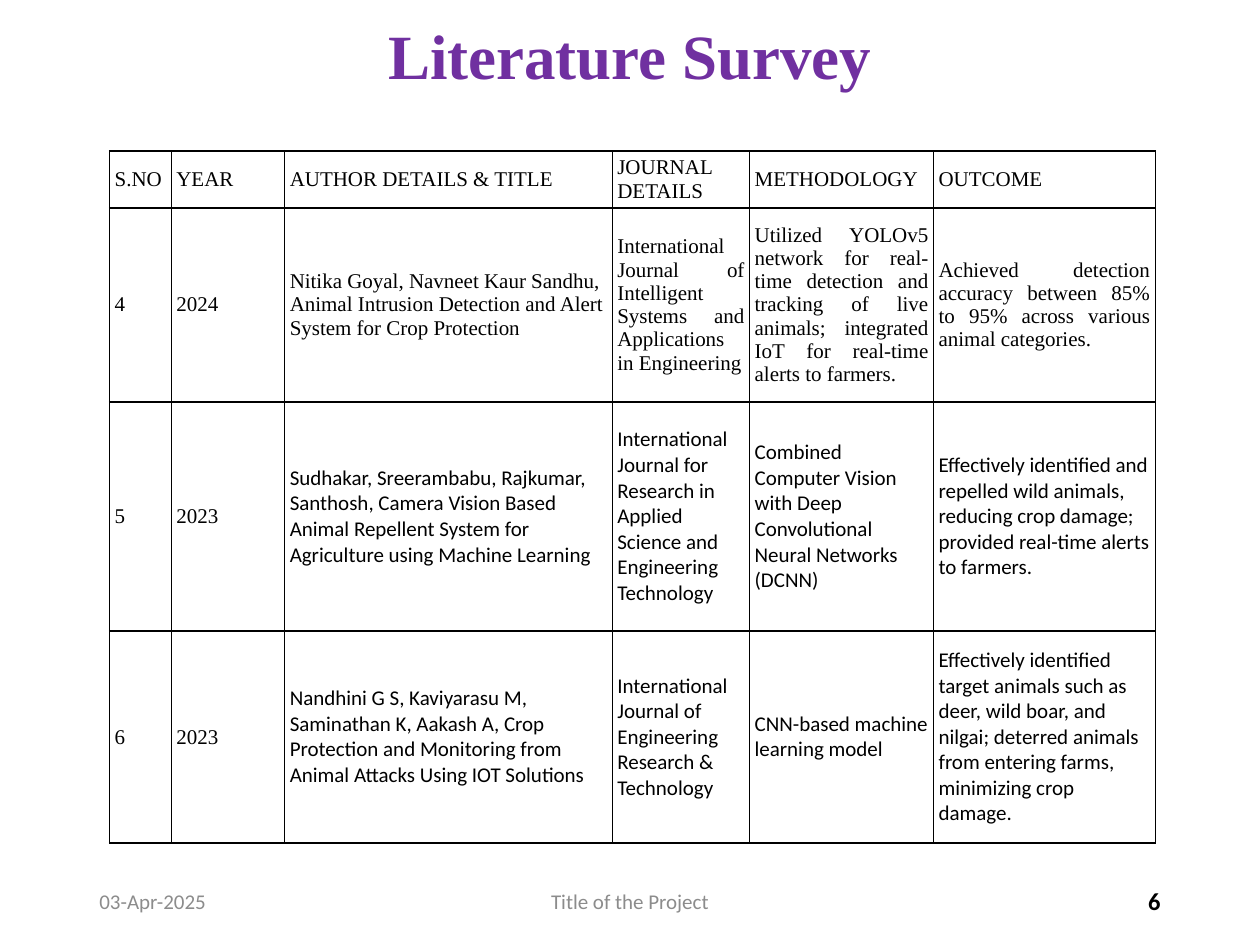
from lxml.etree import SubElement
from pptx import Presentation
from pptx.dml.color import RGBColor
from pptx.enum.text import MSO_ANCHOR as Anchor, PP_ALIGN as Align
from pptx.oxml.ns import qn
from pptx.util import Inches, Pt

COLORS = {"title": "7030A0", "ink": "000000", "muted": "8C8C8C"}
SERIF, SANS = "Times New Roman", "Calibri"
GRID_COLS, GRID_ROWS = 100, 75
MARGIN, CONTENT_WIDTH = 6.9, 86.2

COLUMN_WIDTHS = [4.9, 9, 26, 10.9, 14.6, 17.6]
ROW_HEIGHTS = [4.5, 15.4, 18.2, 16.8]
HEADINGS = ["S.NO", "YEAR", "AUTHOR DETAILS & TITLE", "JOURNAL DETAILS",
            "METHODOLOGY", "OUTCOME"]
STUDIES = [
    ["4", "2024",
     "Nitika Goyal, Navneet Kaur Sandhu, Animal Intrusion Detection and Alert "
     "System for Crop Protection",
     "International Journal of Intelligent Systems and Applications in Engineering",
     "Utilized YOLOv5 network for real-time detection and tracking of live animals; "
     "integrated IoT for real-time alerts to farmers.",
     "Achieved detection accuracy between 85% to 95% across various animal categories."],
    ["5", "2023",
     "Sudhakar, Sreerambabu, Rajkumar, Santhosh, Camera Vision Based Animal "
     "Repellent System for Agriculture using Machine Learning",
     "International Journal for Research in Applied Science and Engineering Technology",
     "Combined Computer Vision with Deep Convolutional Neural Networks (DCNN)",
     "Effectively identified and repelled wild animals, reducing crop damage; "
     "provided real-time alerts to farmers."],
    ["6", "2023",
     "Nandhini G S, Kaviyarasu M, Saminathan K, Aakash A, Crop Protection and "
     "Monitoring from Animal Attacks Using IOT Solutions",
     "International Journal of Engineering Research & Technology",
     "CNN-based machine learning model",
     "Effectively identified target animals such as deer, wild boar, and nilgai; "
     "deterred animals from entering farms, minimizing crop damage."],
]


class SurveySlide:
    """Places styled elements on a slide by grid columns and rows."""

    def __init__(self, deck):
        self.col = deck.slide_width / GRID_COLS
        self.row = deck.slide_height / GRID_ROWS
        self.slide = deck.slides.add_slide(deck.slide_layouts[5])

    def box(self, left, top, width, height):
        return (round(left * self.col), round(top * self.row),
                round(width * self.col), round(height * self.row))

    def add_text(self, frame, text, font=SANS, size=12, color="ink", bold=False,
                 align=Align.LEFT):
        frame.word_wrap = True
        paragraph = frame.paragraphs[0]
        paragraph.alignment = align
        run = paragraph.add_run()
        run.text = text
        run.font.name, run.font.size, run.font.bold = font, Pt(size), bold
        run.font.color.rgb = RGBColor.from_string(COLORS[color])
        return paragraph

    def title(self, text, *place):
        heading = self.slide.shapes.title
        heading.left, heading.top, heading.width, heading.height = self.box(*place)
        heading.text_frame.vertical_anchor = Anchor.MIDDLE
        paragraph = self.add_text(heading.text_frame, text, SERIF, 36, "title", True,
                                  Align.CENTER)
        paragraph.line_spacing = 0.9

    def footer(self, text, left, width, **style):
        frame = self.slide.shapes.add_textbox(*self.box(left, 69.5, width, 4)).text_frame
        frame.vertical_anchor = Anchor.MIDDLE
        self.add_text(frame, text, **style)

    def border(self, cell):
        """Draw a thin line on each side of the cell, ahead of its fill."""
        properties = cell._tc.get_or_add_tcPr()
        for position, side in enumerate(("lnL", "lnR", "lnT", "lnB")):
            line = SubElement(properties, qn(f"a:{side}"), w=str(Pt(1)))
            properties.insert(position, line)
            fill = SubElement(line, qn("a:solidFill"))
            SubElement(fill, qn("a:srgbClr"), val=COLORS["ink"])

    def table(self, rows, left, top):
        place = self.box(left, top, sum(COLUMN_WIDTHS), sum(ROW_HEIGHTS))
        table = self.slide.shapes.add_table(len(rows), len(HEADINGS), *place).table
        table.first_row = table.horz_banding = False
        for column, width in zip(table.columns, COLUMN_WIDTHS):
            column.width = round(width * self.col)
        for row, height in zip(table.rows, ROW_HEIGHTS):
            row.height = round(height * self.row)
        for r, texts in enumerate(rows):
            for c, text in enumerate(texts):
                cell = table.cell(r, c)
                cell.fill.background()
                self.border(cell)
                cell.vertical_anchor = Anchor.MIDDLE
                cell.margin_left = cell.margin_right = Inches(0.04)
                cell.margin_top = cell.margin_bottom = Inches(0.02)
                self.add_text(cell.text_frame, text,
                              font=SANS if r > 1 and c > 1 else SERIF,
                              align=Align.JUSTIFY if r == 1 and c > 2 else Align.LEFT)


def main():
    deck = Presentation()
    deck.slide_width, deck.slide_height = Inches(10), Inches(7.5)
    survey = SurveySlide(deck)
    survey.title("Literature Survey", MARGIN, 1.8, CONTENT_WIDTH, 5.8)
    survey.footer("03-Apr-2025", MARGIN, 22.5, color="muted")
    survey.footer("6", MARGIN + CONTENT_WIDTH - 22.5, 22.5, size=14, bold=True,
                  align=Align.RIGHT)
    survey.footer("Title of the Project", 33.1, 33.8, color="muted", align=Align.CENTER)
    survey.table([HEADINGS] + STUDIES, 8.7, 12)
    deck.save("out.pptx")


if __name__ == "__main__":
    main()
